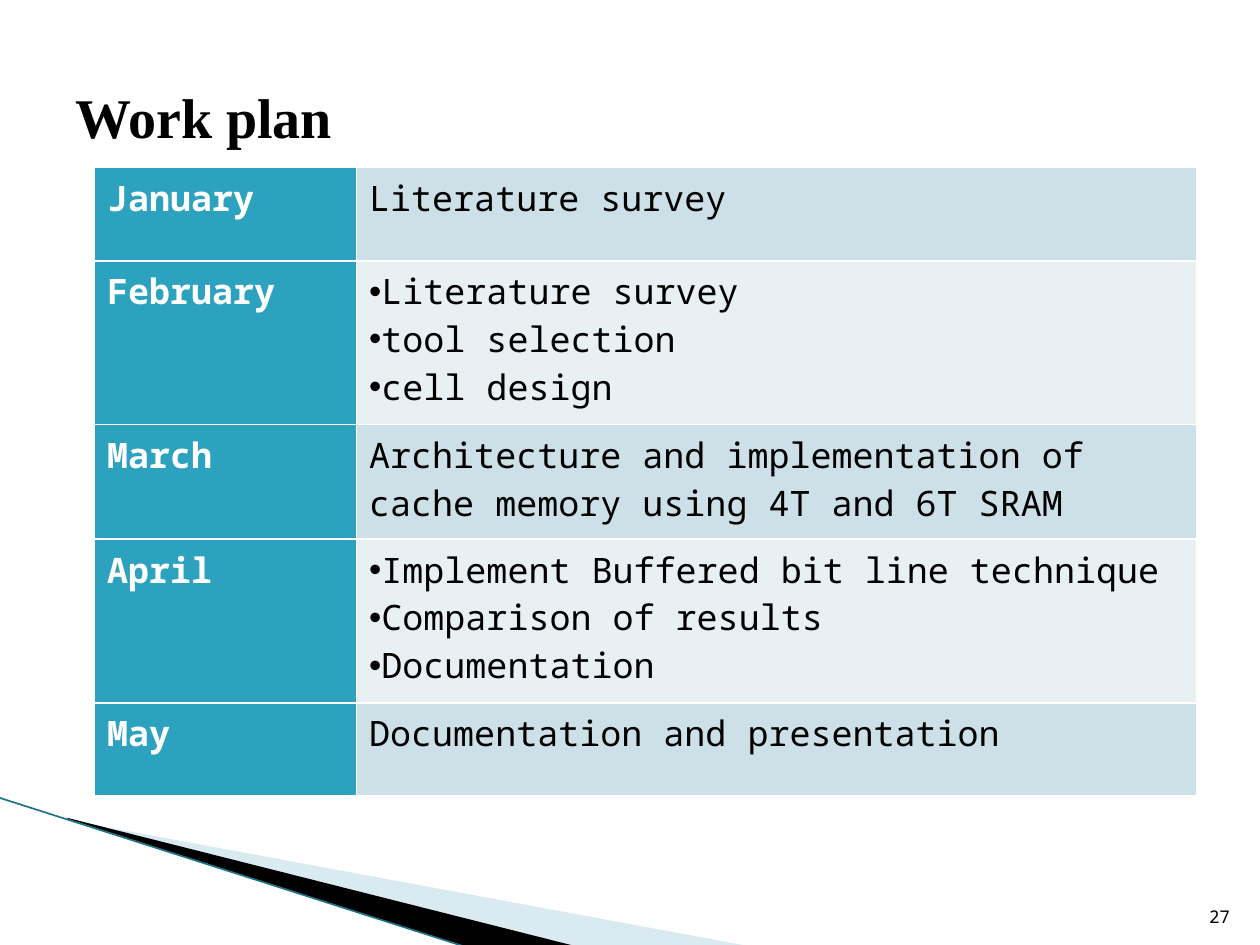
from lxml.etree import SubElement
from pptx import Presentation
from pptx.dml.color import RGBColor
from pptx.enum.shapes import MSO_CONNECTOR as Connector
from pptx.enum.text import MSO_ANCHOR as Anchor, PP_ALIGN as Align
from pptx.oxml.ns import qn
from pptx.util import Inches, Pt

COLORS = {
    "month": "2DA2BF", "odd": "CDE0E8", "even": "E8F0F4",
    "white": "FFFFFF", "black": "000000", "pale": "A0CBDC", "edge": "1F7389",
}
MONO, SERIF = "Noto Sans Mono", "Times New Roman"
COLUMN_WIDTHS = (2.08, 6.67)
ROW_HEIGHTS = {1: 0.74, 2: 0.91, 3: 1.3}
PLAN = [
    ("January", ["Literature survey"], 1),
    ("February", ["Literature survey", "tool selection", "cell design"], 3),
    ("March", ["Architecture and implementation of cache memory using 4T and 6T SRAM"], 2),
    ("April", ["Implement Buffered bit line technique", "Comparison of results", "Documentation"], 3),
    ("May", ["Documentation and presentation"], 1),
]


def rgb(name):
    """Return the named palette colour."""
    return RGBColor.from_string(COLORS[name])


def style(paragraph, face, size, color, bold=False):
    """Set the font of a whole paragraph."""
    font = paragraph.font
    font.name, font.size, font.bold = face, Pt(size), bold
    font.color.rgb = rgb(color)


def add_label(slide, box, text, anchor, align, **look):
    """Add a one-line text box."""
    frame = slide.shapes.add_textbox(*map(Inches, box)).text_frame
    frame.word_wrap = True
    frame.vertical_anchor = anchor
    line = frame.paragraphs[0]
    line.text, line.alignment = text, align
    style(line, **look)


def add_wedge(slide, points, color, alpha=100):
    """Add a filled outline without a border."""
    corners = [(Inches(x), Inches(y)) for x, y in points]
    builder = slide.shapes.build_freeform(*corners[0])
    builder.add_line_segments(corners[1:], close=True)
    wedge = builder.convert_to_shape()
    wedge.shadow.inherit = False
    wedge.fill.solid()
    wedge.fill.fore_color.rgb = rgb(color)
    wedge.line.fill.background()
    if alpha < 100:
        tint = wedge._element.spPr.find(".//" + qn("a:srgbClr"))
        SubElement(tint, qn("a:alpha"), val=str(alpha * 1000))


def add_edge(slide, start, end):
    """Add the thin line along the wedges."""
    edge = slide.shapes.add_connector(Connector.STRAIGHT, *map(Inches, start + end))
    edge.line.color.rgb = rgb("edge")
    edge.line.width = Pt(0.95)
    SubElement(edge._element.spPr, qn("a:effectLst"))


def add_bullet(paragraph):
    """Put a bullet directly before the paragraph's text."""
    props = paragraph._p.get_or_add_pPr()
    props.set("marL", "0")
    props.set("indent", "0")
    SubElement(props, qn("a:buFont"), typeface="Arial")
    SubElement(props, qn("a:buChar"), char="•")


def add_borders(cell):
    """Draw white lines on the four sides of a cell."""
    props = cell._tc.get_or_add_tcPr()
    for index, side in enumerate(("lnL", "lnR", "lnT", "lnB")):
        border = props.makeelement(qn(f"a:{side}"), {"w": str(Pt(1))})
        fill = SubElement(border, qn("a:solidFill"))
        SubElement(fill, qn("a:srgbClr"), val=COLORS["white"])
        props.insert(index, border)


def fill_cell(cell, lines, fill, color, bold=False):
    """Write the lines into a cell, with bullets if there are several."""
    cell.fill.solid()
    cell.fill.fore_color.rgb = rgb(fill)
    add_borders(cell)
    cell.text = "\n".join(lines)
    for paragraph in cell.text_frame.paragraphs:
        style(paragraph, MONO, 20, color, bold)
        if len(lines) > 1:
            add_bullet(paragraph)


def add_plan(slide, left, top):
    """Add the table of months and tasks."""
    heights = [ROW_HEIGHTS[lines] for _, _, lines in PLAN]
    size = (sum(COLUMN_WIDTHS), sum(heights))
    table = slide.shapes.add_table(len(PLAN), 2, *map(Inches, (left, top) + size)).table
    for column, width in zip(table.columns, COLUMN_WIDTHS):
        column.width = Inches(width)
    for index, (month, tasks, _) in enumerate(PLAN):
        table.rows[index].height = Inches(heights[index])
        fill_cell(table.cell(index, 0), [month], "month", "white", True)
        fill_cell(table.cell(index, 1), tasks, "even" if index % 2 else "odd", "black")


def main():
    """Build the work plan slide."""
    deck = Presentation()
    deck.slide_width, deck.slide_height = Inches(10), Inches(7.5)
    slide = deck.slides.add_slide(deck.slide_layouts[6])
    add_wedge(slide, [(0.55, 6.51), (5.95, 7.51), (4.56, 7.51), (0.55, 6.5)], "pale", 40)
    add_wedge(slide, [(0.53, 6.49), (4.57, 7.51), (3.72, 7.52), (0.54, 6.5)], "black")
    add_edge(slide, (-0.01, 6.33), (3.71, 7.52))
    add_plan(slide, 0.75, 1.33)
    add_label(slide, (9.46, 7.01, 0.4, 0.4), "27", Anchor.BOTTOM, Align.RIGHT,
              face=MONO, size=10, color="black")
    add_label(slide, (0.5, 0.3, 9, 1.25), "Work plan", Anchor.MIDDLE, Align.LEFT,
              face=SERIF, size=32, color="black", bold=True)
    deck.save("out.pptx")


if __name__ == "__main__":
    main()
